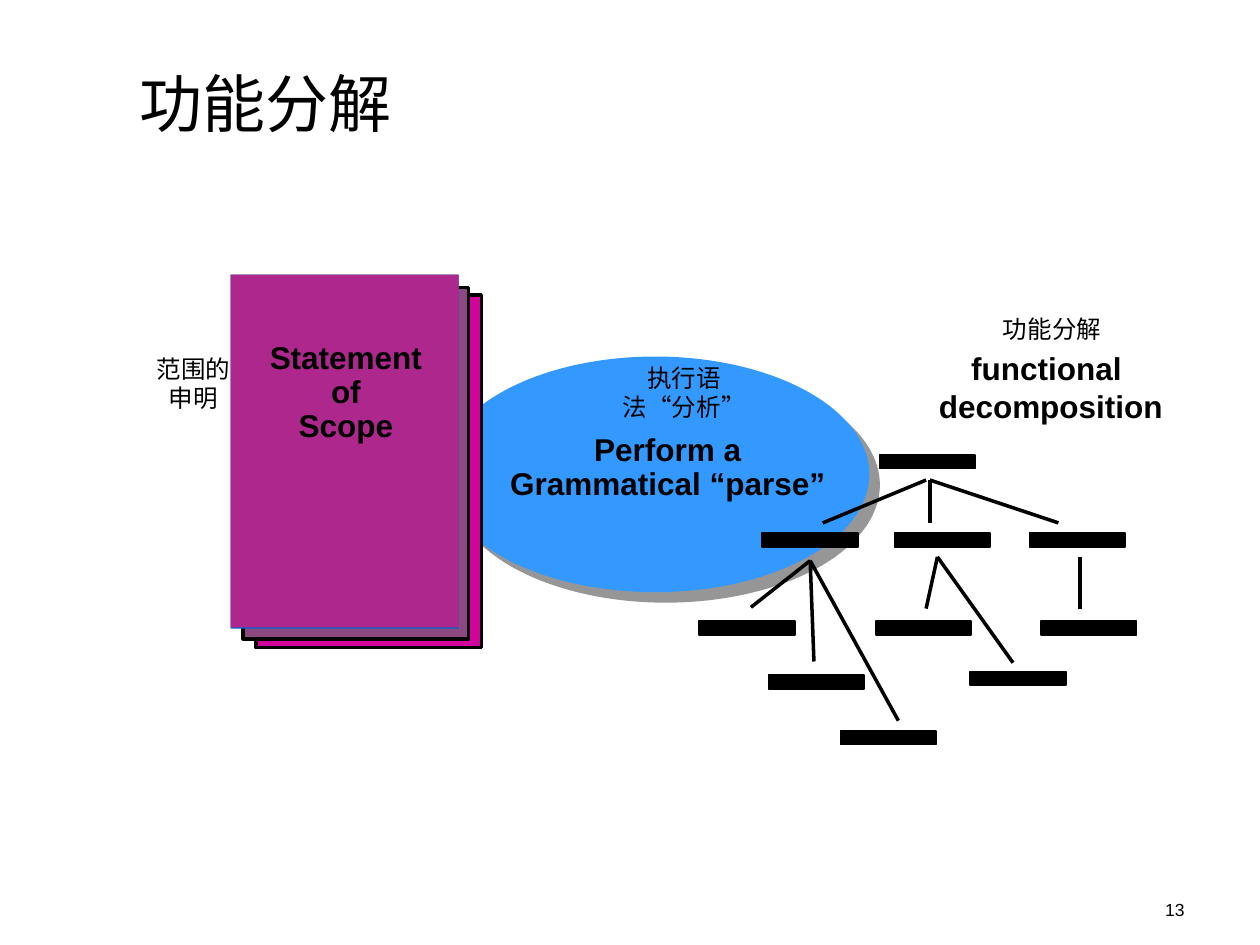
from lxml import etree
from pptx import Presentation
from pptx import util as u
from pptx.dml.color import RGBColor
from pptx.enum import lang, shapes, text
from pptx.oxml import ns

PX = 9144
LATIN = "Arial"
CJK = "Noto Sans CJK SC"
BLACK = RGBColor(0x00, 0x00, 0x00)
SKY = RGBColor(0x33, 0x99, 0xFF)
BLUE = RGBColor(0x00, 0x66, 0xCC)
MAGENTA = RGBColor(0xD1, 0x03, 0x9B)
PLUM = RGBColor(0x8C, 0x48, 0x81)
PURPLE = RGBColor(0xAD, 0x27, 0x8D)
SHADOW_GREY = RGBColor(0x96, 0x96, 0x96)


def px(*lengths):
    """Turn px lengths into EMU."""
    return [u.Emu(length * PX) for length in lengths]


def style_run(run, size, bold=False, chinese=False, latin=LATIN):
    """Set the font of one run."""
    font = run.font
    font.name, font.size, font.bold = latin, u.Pt(size), bold
    font.color.rgb = BLACK
    if chinese:
        font.language_id = lang.MSO_LANGUAGE_ID.SIMPLIFIED_CHINESE
        east_asian = etree.Element(ns.qn("a:ea"), typeface=CJK)
        font._element.find(ns.qn("a:latin")).addnext(east_asian)


def add_box(slide, box, wrap=True, inset=(10, 5)):
    """Add an empty text box and return its text frame."""
    frame = slide.shapes.add_textbox(*px(*box)).text_frame
    frame.word_wrap = wrap
    frame.margin_left = frame.margin_right = px(inset[0])[0]
    frame.margin_top = frame.margin_bottom = px(inset[1])[0]
    return frame


def add_english(slide, box, words, spacing=None, wrap=False):
    """Add a bold centred English label."""
    frame = add_box(slide, box, wrap)
    frame.text = words
    for paragraph in frame.paragraphs:
        paragraph.alignment = text.PP_ALIGN.CENTER
        paragraph.line_spacing = spacing
        style_run(paragraph.runs[0], 18, bold=True)


def add_chinese(slide, box, pieces):
    """Add a centred Chinese label, with quotation marks in the CJK font."""
    paragraph = add_box(slide, box, inset=(0, 0)).paragraphs[0]
    paragraph.alignment = text.PP_ALIGN.CENTER
    for piece in pieces:
        run = paragraph.add_run()
        run.text = piece
        style_run(run, 14, chinese=True, latin=CJK if piece in "“”" else LATIN)


def add_solid(slide, kind, box, fill, line_width=0):
    """Add a filled shape with an optional black outline."""
    shape = slide.shapes.add_shape(kind, *px(*box))
    shape.shadow.inherit = False
    shape.fill.solid()
    shape.fill.fore_color.rgb = fill
    if line_width:
        shape.line.color.rgb = BLACK
        shape.line.width = u.Pt(line_width)
    else:
        shape.line.fill.background()
    return shape


def add_branch(slide, start, end):
    """Add one straight black line of the tree."""
    line = slide.shapes.add_connector(shapes.MSO_CONNECTOR.STRAIGHT, *px(*start, *end))
    line.line.color.rgb = BLACK
    line.line.width = u.Pt(2)
    etree.SubElement(line._element.spPr, ns.qn("a:effectLst"))


def add_title(slide, box):
    """Place and format the title."""
    title = slide.shapes.title
    title.left, title.top, title.width, title.height = px(*box)
    frame = title.text_frame
    frame.text = "功能分解"
    frame.auto_size = text.MSO_AUTO_SIZE.NONE
    frame.vertical_anchor = text.MSO_ANCHOR.MIDDLE
    frame.paragraphs[0].alignment = text.PP_ALIGN.LEFT
    style_run(frame.paragraphs[0].runs[0], 36, chinese=True)


def add_page_number(slide, box):
    """Add the page number at the lower right."""
    frame = add_box(slide, box)
    frame.text = "13"
    frame.vertical_anchor = text.MSO_ANCHOR.BOTTOM
    frame.paragraphs[0].alignment = text.PP_ALIGN.RIGHT
    style_run(frame.paragraphs[0].runs[0], 10)


def add_parse_ellipse(slide, box):
    """Add the ellipse of the parsing step with its offset shadow."""
    ellipse = add_solid(slide, shapes.MSO_SHAPE.OVAL, box, SKY)
    effects = ellipse._element.spPr.find(ns.qn("a:effectLst"))
    shadow = etree.SubElement(effects, ns.qn("a:outerShdw"), blurRad="0",
                              dist=str(u.Pt(8.5)), dir="2700000",
                              algn="ctr", rotWithShape="0")
    etree.SubElement(shadow, ns.qn("a:srgbClr"), val=str(SHADOW_GREY))


def add_parse_labels(slide, box):
    """Add the two labels on the ellipse."""
    left, top = box[:2]
    add_english(slide, (left + 42, top + 57, 276, 64),
                "Perform a Grammatical “parse”", 0.9, wrap=True)
    add_chinese(slide, (left + 142, top + 5, 102, 47),
                ["执行语法", "“", "分析", "”"])


def add_scope_stack(slide, box):
    """Add the stack of scope documents with its labels."""
    left, top, width, height = box
    sheets = [
        (20, 16, width - 2, height, BLUE, 0),
        (20, 16, width - 2, height - 1, MAGENTA, 2),
        (10, 10, width - 2, height - 2, PLUM, 2),
        (0, 0, width, height, BLUE, 0),
        (0, 0, width, height - 1, PURPLE, 0),
    ]
    for x, y, sheet_width, sheet_height, fill, line_width in sheets:
        add_solid(slide, shapes.MSO_SHAPE.RECTANGLE,
                  (left + x, top + y, sheet_width, sheet_height), fill, line_width)
    add_english(slide, (left + 21, top + 49, 141, 91), "Statement\nof\nScope", 0.9)
    add_chinese(slide, (left - 61, top + 63, 63, 47), ["范围的申明"])


def add_decomposition_tree(slide, box):
    """Add the tree of functions with its heading."""
    left, top = box[:2]
    bars = [(143, 0), (50, 62), (155, 62), (262, 62), (0, 132), (55, 175),
            (112, 219), (140, 132), (215, 172), (271, 132)]
    branches = [
        ((180, 20), [(98, 54)]),
        ((183, 20), [(183, 54), (285, 54)]),
        ((88, 84), [(41, 121), (91, 164), (158, 211)]),
        ((189, 81), [(180, 122), (249, 165)]),
        ((302, 81), [(302, 122)]),
    ]
    for x, y in bars:
        add_solid(slide, shapes.MSO_SHAPE.RECTANGLE,
                  (left + x, top + y, 76, 11), BLACK, 1)
    for (start_x, start_y), ends in branches:
        for end_x, end_y in ends:
            add_branch(slide, (left + start_x, top + start_y),
                       (left + end_x, top + end_y))
    add_english(slide, (left + 180, top - 89, 198, 70), "functional \ndecomposition")
    add_chinese(slide, (left + 229, top - 112, 102, 23), ["功能分解"])


def main():
    """Build the slide and save it."""
    presentation = Presentation()
    presentation.slide_width, presentation.slide_height = px(1000, 750)
    slide = presentation.slides.add_slide(presentation.slide_layouts[5])
    ellipse_box = (350, 283, 340, 187)
    add_page_number(slide, (717, 683, 233, 52))
    add_parse_ellipse(slide, ellipse_box)
    add_title(slide, (101, 53, 756, 56))
    add_scope_stack(slide, (183, 218, 181, 281))
    add_decomposition_tree(slide, (555, 361, 347, 230))
    add_parse_labels(slide, ellipse_box)
    presentation.save("out.pptx")


if __name__ == "__main__":
    main()
